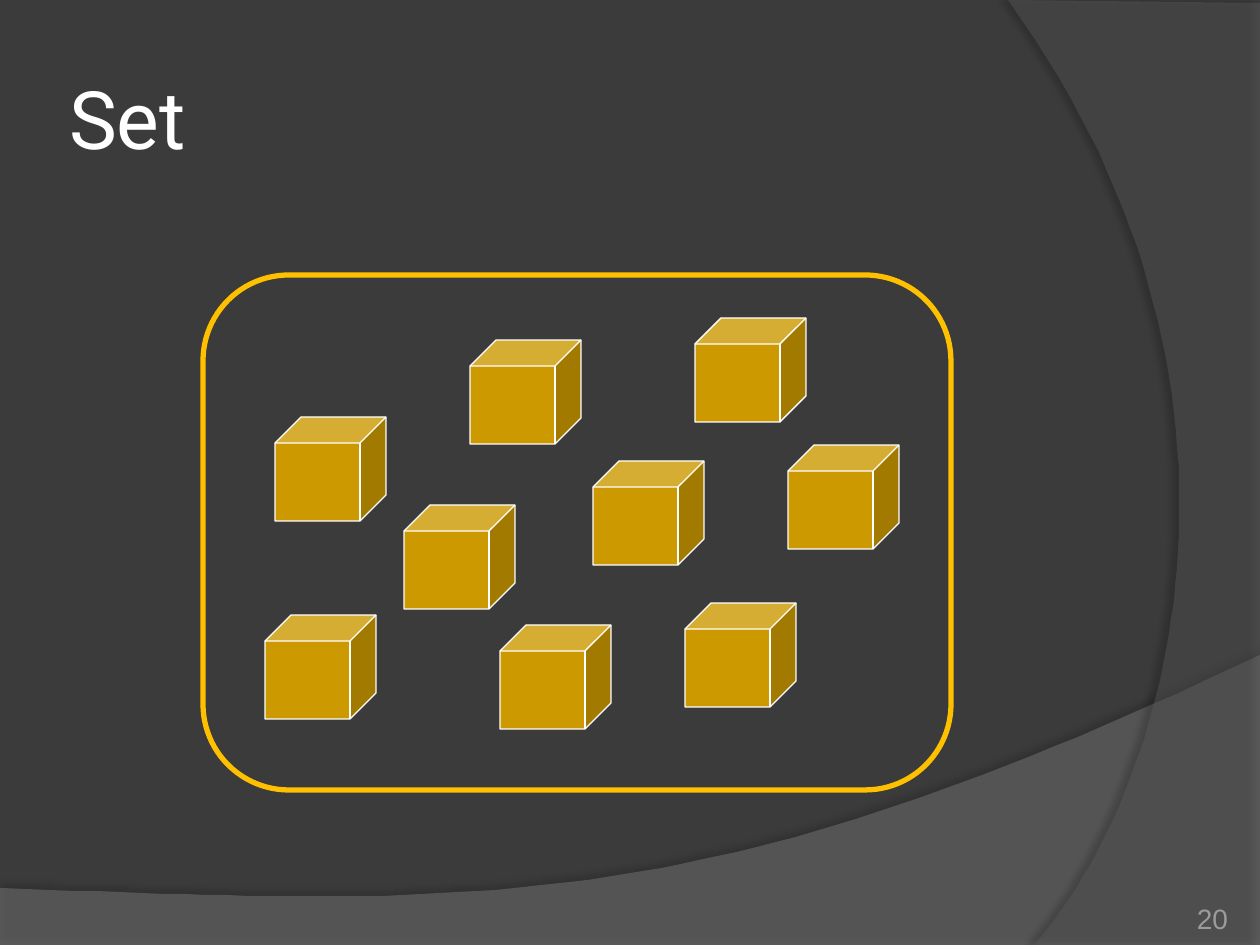
from lxml.etree import SubElement
from pptx import Presentation
from pptx.dml.color import RGBColor
from pptx.enum.shapes import MSO_SHAPE
from pptx.enum.text import MSO_ANCHOR, MSO_AUTO_SIZE, PP_ALIGN
from pptx.oxml.ns import qn
from pptx.util import Emu, Pt

EMU_PER_PX = 914400 / 126
COLORS = {
    "background": "3B3B3B",
    "wave": "7F7F7F",
    "arc": "5E5E5E",
    "shadow": "000000",
    "white": "FFFFFF",
    "number": "9D9B9A",
    "cube": "CC9900",
    "frame": "FFC000",
}
CUBE_SIZE = (111, 104)
CUBE_CORNERS = [
    (275, 417), (404, 505), (470, 340), (593, 461), (695, 318),
    (788, 445), (685, 603), (500, 625), (265, 615),
]


def px(length):
    return Emu(round(length * EMU_PER_PX))


def color(name):
    return RGBColor.from_string(COLORS[name])


def curve(start, first, second, end, steps=60):
    points = []
    for step in range(steps + 1):
        t = step / steps
        u = 1 - t
        weights = (u**3, 3 * u * u * t, 3 * u * t * t, t**3)
        points.append(tuple(
            sum(w * value for w, value in zip(weights, axis))
            for axis in zip(start, first, second, end)
        ))
    return points


def write_text(frame, text, *, font, size, fill, align, anchor, inset=0):
    frame.word_wrap = True
    frame.auto_size = MSO_AUTO_SIZE.NONE
    frame.vertical_anchor = anchor
    frame.margin_left = frame.margin_right = px(inset)
    frame.margin_top = frame.margin_bottom = px(inset)
    para = frame.paragraphs[0]
    para.alignment = align
    span = para.add_run()
    span.text = text
    span.font.name = font
    span.font.size = Pt(size)
    span.font.color.rgb = color(fill)


class SlideBuilder:
    def __init__(self, deck):
        self.page = deck.slides.add_slide(deck.slide_layouts[5])
        self.page.background.fill.solid()
        self.page.background.fill.fore_color.rgb = color("background")

    def backdrop(self, points, fill, opacity, shadow_opacity, distance, direction):
        builder = self.page.shapes.build_freeform(*points[0], scale=EMU_PER_PX)
        builder.add_line_segments(points[1:], close=True)
        shape = builder.convert_to_shape()
        shape.shadow.inherit = False
        shape.line.fill.background()
        shape.fill.solid()
        shape.fill.fore_color.rgb = color(fill)
        properties = shape._element.spPr
        fill_color = properties.find(qn("a:solidFill")).find(qn("a:srgbClr"))
        SubElement(fill_color, qn("a:alpha"), val=str(opacity * 1000))
        shadow = SubElement(
            properties.find(qn("a:effectLst")), qn("a:outerShdw"),
            blurRad=str(Pt(4)), dist=str(Pt(distance)),
            dir=str(direction * 60000), algn="ctr", rotWithShape="0",
        )
        shadow_color = SubElement(shadow, qn("a:srgbClr"), val=COLORS["shadow"])
        SubElement(shadow_color, qn("a:alpha"), val=str(shadow_opacity * 1000))

    def title(self, text, left, top, width, height):
        box = self.page.shapes.title
        box.left, box.top, box.width, box.height = map(px, (left, top, width, height))
        write_text(box.text_frame, text, font="Roboto", size=46, fill="white",
                   align=PP_ALIGN.LEFT, anchor=MSO_ANCHOR.MIDDLE, inset=6)
        self.page.shapes._spTree.append(box._element)

    def page_number(self, text, left, top, width, height):
        box = self.page.shapes.add_textbox(*map(px, (left, top, width, height)))
        write_text(box.text_frame, text, font="Arial", size=16, fill="number",
                   align=PP_ALIGN.RIGHT, anchor=MSO_ANCHOR.BOTTOM)

    def group(self):
        return self.page.shapes.add_group_shape()

    def shape(self, group, kind, left, top, width, height, line, weight, fill=None):
        shape = group.shapes.add_shape(kind, *map(px, (left, top, width, height)))
        shape.shadow.inherit = False
        shape.line.color.rgb = color(line)
        shape.line.width = Pt(weight)
        if fill:
            shape.fill.solid()
            shape.fill.fore_color.rgb = color(fill)
        else:
            shape.fill.background()


def main():
    deck = Presentation()
    deck.slide_width, deck.slide_height = px(1260), px(945)
    slide = SlideBuilder(deck)
    wave = [(0, 945), (1260, 945)]
    wave += curve((1260, 655), (704, 919), (493, 906), (0, 888))
    slide.backdrop(wave, "wave", 45, 35, 3.5, 270)
    arc = [(1260, 3), (1260, 945)]
    arc += curve((1034, 945), (1178, 780), (1283, 378), (1008, 0))
    slide.backdrop(arc, "arc", 40, 45, 4, 180)
    slide.title("Set", 63, 38, 1029, 158)
    slide.page_number("20", 1124, 885, 104, 50)
    group = slide.group()
    for corner in CUBE_CORNERS:
        slide.shape(group, MSO_SHAPE.CUBE, *corner, *CUBE_SIZE,
                    line="white", weight=0.75, fill="cube")
    slide.shape(group, MSO_SHAPE.ROUNDED_RECTANGLE, 203, 275, 748, 515,
                line="frame", weight=3)
    deck.save("out.pptx")


if __name__ == "__main__":
    main()
